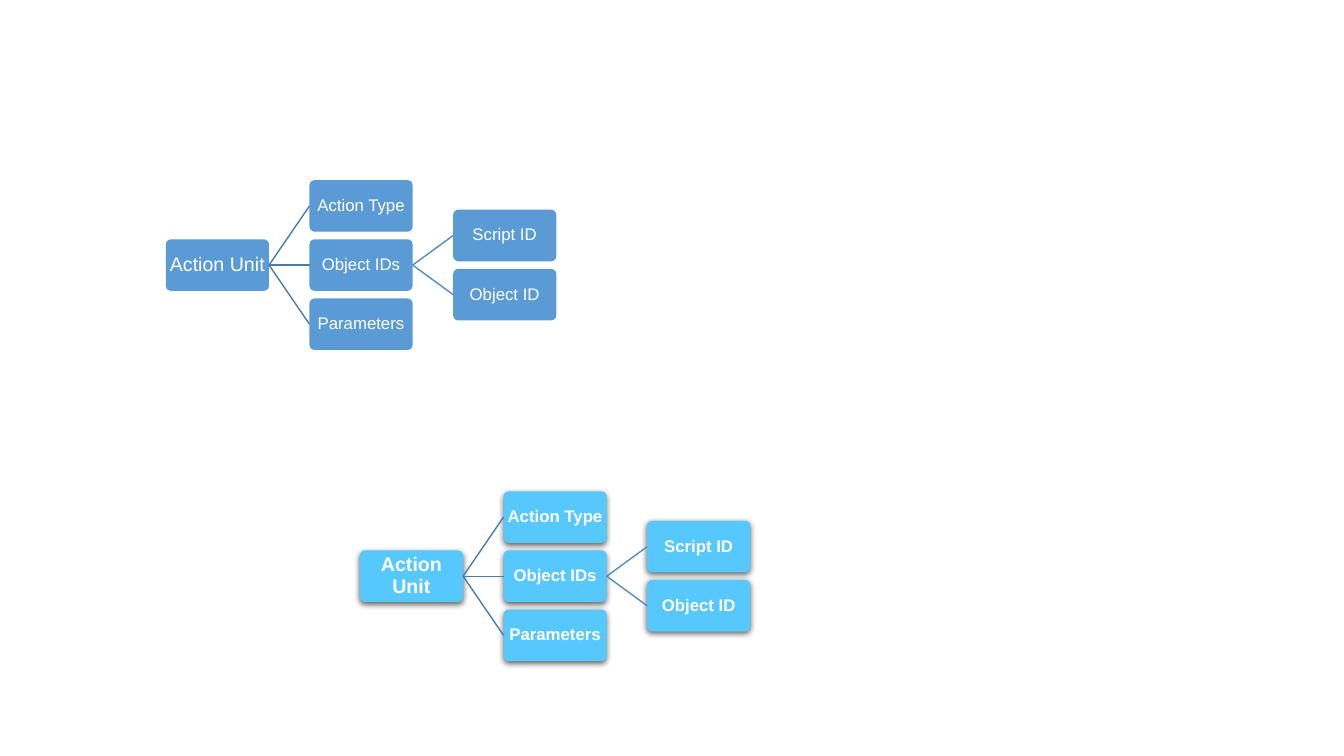
from lxml.etree import SubElement
from pptx import Presentation
from pptx.dml.color import RGBColor
from pptx.enum.shapes import MSO_CONNECTOR, MSO_SHAPE
from pptx.enum.text import MSO_ANCHOR, PP_ALIGN
from pptx.oxml.ns import qn
from pptx.util import Cm, Pt

BOX_WIDTH, BOX_HEIGHT = 2.6, 1.3
COLUMN_STEP, ROW_STEP = 3.62, 1.49
LEFT_SITE, RIGHT_SITE = 1, 3
ACTION_UNIT = ("Action Unit", [
    ("Action Type", []),
    ("Object IDs", [("Script ID", []), ("Object ID", [])]),
    ("Parameters", []),
])
LINK_COLORS = ["497CAB", "538DC1"]


def rgb(code):
    return RGBColor.from_string(code)


class TreeDiagram:
    """Draws a left-to-right tree in one style on a slide."""

    def __init__(self, slide, fill, bold=False, shadow=False):
        self.shapes = slide.shapes.add_group_shape().shapes
        self.fill, self.bold, self.shadow = fill, bold, shadow

    def box(self, label, left, middle, size):
        node = self.shapes.add_shape(
            MSO_SHAPE.ROUNDED_RECTANGLE, Cm(left), Cm(middle - BOX_HEIGHT / 2),
            Cm(BOX_WIDTH), Cm(BOX_HEIGHT))
        node.adjustments[0] = 0.1
        node.fill.solid()
        node.fill.fore_color.rgb = rgb(self.fill)
        node.line.fill.background()
        node.shadow.inherit = False
        if self.shadow:
            self.cast_shadow(node)
        frame = node.text_frame
        frame.text = label
        frame.word_wrap = True
        frame.vertical_anchor = MSO_ANCHOR.MIDDLE
        frame.margin_left = frame.margin_right = Cm(0.02)
        frame.margin_top = frame.margin_bottom = Cm(0.02)
        paragraph = frame.paragraphs[0]
        paragraph.alignment = PP_ALIGN.CENTER
        paragraph.line_spacing = 0.9
        font = paragraph.runs[0].font
        font.name, font.size, font.bold = "Arial", Pt(size), self.bold
        font.color.rgb = rgb("FFFFFF")
        return node

    def cast_shadow(self, node):
        effects = node.element.spPr.find(qn("a:effectLst"))
        outer = SubElement(effects, qn("a:outerShdw"), blurRad=str(Pt(4.5)),
                           dist=str(Pt(1.5)), dir="5400000", algn="ctr", rotWithShape="0")
        black = SubElement(outer, qn("a:srgbClr"), val="000000")
        SubElement(black, qn("a:alpha"), val="63000")

    def link(self, parent, child, color):
        branch = self.shapes.add_connector(MSO_CONNECTOR.STRAIGHT, 0, 0, 0, 0)
        branch.begin_connect(parent, RIGHT_SITE)
        branch.end_connect(child, LEFT_SITE)
        branch.line.color.rgb = rgb(color)
        branch.line.width = Pt(1)
        SubElement(branch.element.spPr, qn("a:effectLst"))

    def tree(self, topic, left, middle, level=0):
        label, children = topic
        parent = self.box(label, left, middle, 12 if level else 14)
        first = middle - ROW_STEP * (len(children) - 1) / 2
        for row, subtopic in enumerate(children):
            child = self.tree(subtopic, left + COLUMN_STEP, first + row * ROW_STEP, level + 1)
            self.link(parent, child, LINK_COLORS[level])
        return parent


def main():
    deck = Presentation()
    deck.slide_width, deck.slide_height = Cm(33.87), Cm(19.05)
    slide = deck.slides.add_slide(deck.slide_layouts[6])
    TreeDiagram(slide, "5B9BD5").tree(ACTION_UNIT, 4.18, 6.68)
    TreeDiagram(slide, "56C8FE", bold=True, shadow=True).tree(ACTION_UNIT, 9.07, 14.52)
    deck.save("out.pptx")


if __name__ == "__main__":
    main()
